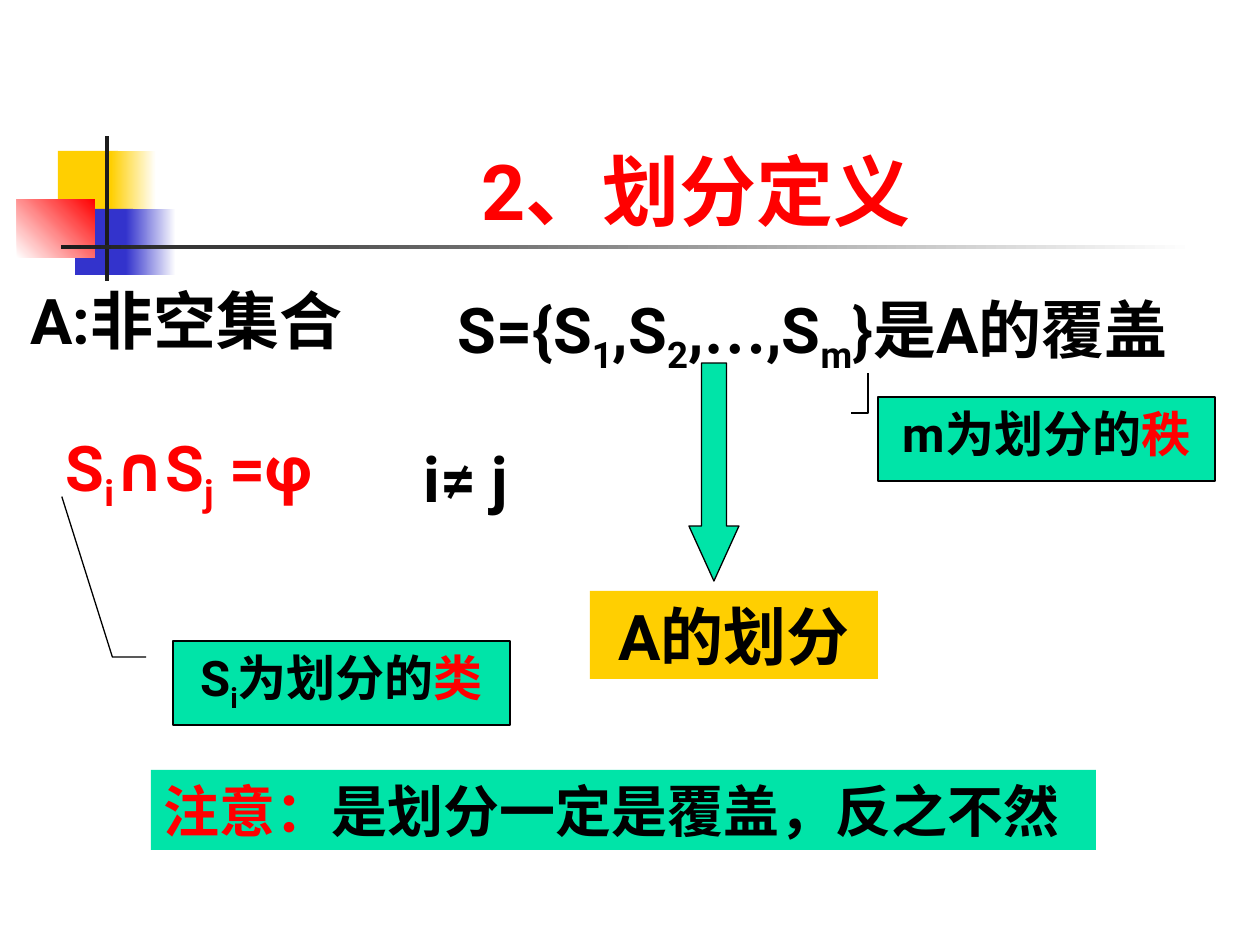
import dataclasses

import lxml.etree
import pptx
import pptx.dml.color
import pptx.enum.shapes
import pptx.enum.text
import pptx.oxml.ns
import pptx.util

PX_PER_INCH = 126
SHAPE = pptx.enum.shapes.MSO_SHAPE
ALIGN = pptx.enum.text.PP_ALIGN
ANCHOR = pptx.enum.text.MSO_ANCHOR


@dataclasses.dataclass(frozen=True)
class Theme:
    yellow: str = "FFCF01"
    blue: str = "3333CC"
    red: str = "FF0000"
    dark: str = "1C1C1C"
    green: str = "00E4A8"
    black: str = "000000"
    white: str = "FFFFFF"
    latin: str = "Roboto"
    cjk: str = "Noto Sans CJK SC"
    serif: str = "Times New Roman"
    title: int = 44
    body: int = 36
    note: int = 32
    label: int = 28
    outline: float = 0.75


THEME = Theme()


def px(n):
    return round(n * 914400 / PX_PER_INCH)


def rgb(code):
    return pptx.dml.color.RGBColor.from_string(code)


def set_values(target, values):
    for name, value in values.items():
        setattr(target, name, value)


def write(sp, runs, size, color=THEME.black, font=THEME.latin,
          align=ALIGN.CENTER, anchor=ANCHOR.TOP, wrap=True):
    """Fill a shape with one bold paragraph.

    Each run is (text, changes); changes may hold color, font or sub.
    """
    tf = sp.text_frame
    set_values(tf, {"word_wrap": wrap, "vertical_anchor": anchor})
    p = tf.paragraphs[0]
    p.alignment = align
    for text, changes in runs:
        r = p.add_run()
        r.text = text
        set_values(r.font, {
            "size": pptx.util.Pt(size),
            "bold": True,
            "name": changes.get("font", font),
        })
        r.font.color.rgb = rgb(changes.get("color", color))
        rPr = r._r.get_or_add_rPr()
        ea = lxml.etree.SubElement(rPr, pptx.oxml.ns.qn("a:ea"))
        ea.set("typeface", THEME.cjk)
        if changes.get("sub"):
            rPr.set("baseline", "-25000")


def add_text(s, box, runs, size, **options):
    sp = s.shapes.add_textbox(*map(px, box))
    write(sp, runs, size, **options)


def add_shape(s, kind, box, fill, outlined=False, adjustments=()):
    sp = s.shapes.add_shape(kind, *map(px, box))
    sp.shadow.inherit = False
    sp.fill.solid()
    sp.fill.fore_color.rgb = rgb(fill)
    if outlined:
        sp.line.color.rgb = rgb(THEME.black)
        sp.line.width = pptx.util.Pt(THEME.outline)
    else:
        sp.line.fill.background()
    for i, value in enumerate(adjustments):
        sp.adjustments[i] = value
    return sp


def add_fade(s, box, start, end, angle=0):
    sp = add_shape(s, SHAPE.RECTANGLE, box, start)
    sp.fill.gradient()
    sp.fill.gradient_angle = angle
    for stop, color in zip(sp.fill.gradient_stops, (start, end)):
        stop.color.rgb = rgb(color)


def add_callout(s, box, adjustments, runs):
    sp = add_shape(s, SHAPE.LINE_CALLOUT_2, box, THEME.green, True, adjustments)
    write(sp, runs, THEME.label)


def add_ornament(s):
    t = THEME
    add_shape(s, SHAPE.RECTANGLE, (58, 151, 60, 66), t.yellow)
    add_fade(s, (111, 151, 45, 66), t.yellow, t.white)
    add_shape(s, SHAPE.RECTANGLE, (75, 209, 58, 66), t.blue)
    add_fade(s, (126, 209, 50, 66), t.blue, t.white)
    add_fade(s, (17, 199, 78, 59), t.white, t.red, 45)
    add_shape(s, SHAPE.RECTANGLE, (105, 136, 4, 145), t.dark)
    add_fade(s, (61, 245, 1134, 4), t.dark, t.white)


def add_statements(s):
    sub = {"sub": True}
    add_text(s, (10, 275, 353, 88), [("A:非空集合", {})], THEME.body, wrap=False)
    cover = [("S={S", {}), ("1", sub), (",S", {}), ("2", sub), (",", {}),
             ("…", {"font": THEME.serif}), (",S", {}), ("m", sub),
             ("}是A的覆盖", {})]
    add_text(s, (420, 284, 785, 99), cover, THEME.body, wrap=False)
    disjoint = [("S", {}), ("i", sub), ("∩S", {}), ("j", sub), (" =φ", {})]
    add_text(s, (48, 422, 282, 99), disjoint, THEME.body, color=THEME.red,
             wrap=False)
    add_text(s, (408, 433, 116, 88), [("i≠ j", {})], THEME.body, wrap=False)


def add_partition(s):
    red = {"color": THEME.red}
    add_shape(s, SHAPE.DOWN_ARROW, (689, 363, 50, 218), THEME.green, True,
              (0.5, 1.1))
    sp = add_shape(s, SHAPE.RECTANGLE, (590, 591, 288, 88), THEME.yellow)
    write(sp, [("A的划分", {})], THEME.body)
    add_callout(s, (878, 397, 337, 84),
                (0.19, -0.08, 0.19, -0.03, -0.29, -0.03),
                [("m为划分的", {}), ("秩", red)])
    add_callout(s, (173, 641, 337, 84),
                (0.19, -0.08, 0.19, -0.18, -1.72, -0.33),
                [("S", {}), ("i", {"sub": True}), ("为划分的", {}), ("类", red)])


def add_note(s):
    sp = add_shape(s, SHAPE.RECTANGLE, (151, 770, 945, 80), THEME.green)
    write(sp, [("注意：", {"color": THEME.red}), ("是划分一定是覆盖，反之不然", {})],
          THEME.note, font=THEME.cjk, align=ALIGN.LEFT)


def main():
    prs = pptx.Presentation()
    set_values(prs, {"slide_width": px(1260), "slide_height": px(945)})
    s = prs.slides.add_slide(prs.slide_layouts[6])
    add_ornament(s)
    add_text(s, (159, 84, 1074, 158), [("2、划分定义", {})], THEME.title,
             color=THEME.red, anchor=ANCHOR.BOTTOM)
    add_note(s)
    add_statements(s)
    add_partition(s)
    prs.save("out.pptx")


if __name__ == "__main__":
    main()
